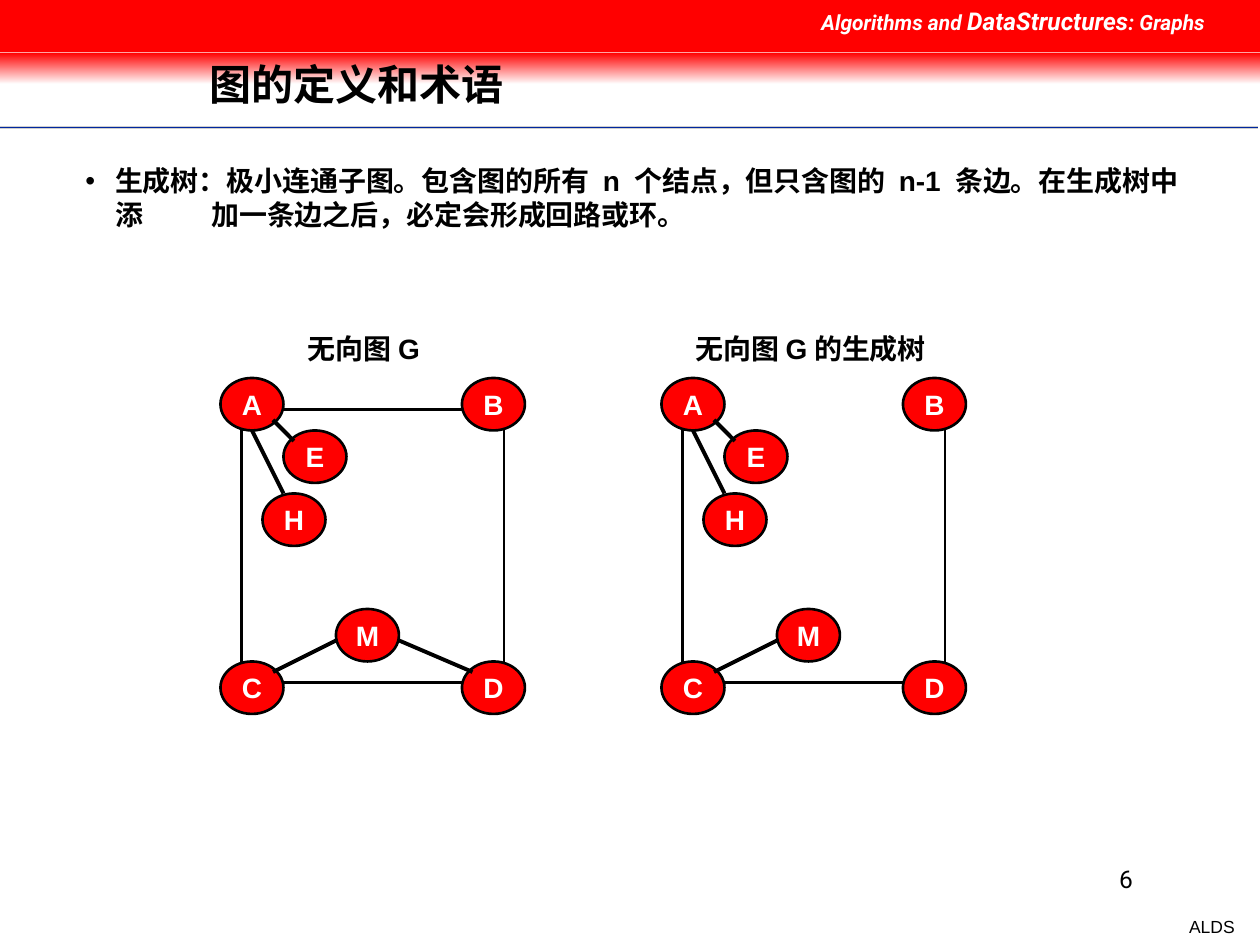
from lxml import etree
from pptx import Presentation
from pptx.dml.color import RGBColor
from pptx.enum.shapes import MSO_CONNECTOR, MSO_SHAPE
from pptx.enum.text import MSO_ANCHOR, PP_ALIGN
from pptx.oxml.ns import qn
from pptx.util import Cm, Pt

LEFT, CENTER, RIGHT = PP_ALIGN.LEFT, PP_ALIGN.CENTER, PP_ALIGN.RIGHT
MIDDLE = MSO_ANCHOR.MIDDLE
STRAIGHT = MSO_CONNECTOR.STRAIGHT
RECTANGLE, OVAL = MSO_SHAPE.RECTANGLE, MSO_SHAPE.OVAL

BLACK = RGBColor(0, 0, 0)
WHITE = RGBColor(255, 255, 255)
RED = RGBColor(255, 0, 0)
BLUE = RGBColor(0x00, 0x27, 0x9F)
GRAY = RGBColor(0xCE, 0xCE, 0xCE)

# Content
TITLE = "图的定义和术语"
BODY = ("生成树：极小连通子图。包含图的所有 n 个结点，但只含图的 n-1 条边。"
        "在生成树中添\t加一条边之后，必定会形成回路或环。")
HEADER_RUNS = [("Algorithms and ", 12), ("DataStructures", 14), (": Graphs", 12)]

# Rules under the title: height in cm, colour, width in points
RULES = [(2.57, GRAY, 2), (2.57, BLUE, 1), (2.62, WHITE, 1)]

# Graphs are laid out on a grid of 12 units to 2.54 cm
NODE_SIZE = (6, 5)
NODES = {"A": (0, 0), "B": (23, 0), "C": (0, 27), "D": (23, 27),
         "E": (6, 5), "H": (4, 11), "M": (11, 22)}
# Edge name: start, end, width in points
EDGES = {
    "AB": ((6, 3), (23, 3), 1.5),
    "AC": ((2, 5), (2, 27), 1.5),
    "BD": ((27, 5), (27, 27), 1.5),
    "CD": ((6, 29), (23, 29), 1.5),
    "MD": ((17, 25), (24, 28), 2.25),
    "CM": ((5, 28), (11, 25), 2.25),
    "AH": ((3, 5), (6, 11), 2.25),
    "AE": ((5, 4), (7, 6), 2.25),
}
TREE_EDGES = ["AC", "BD", "CD", "CM", "AH", "AE"]
# Left and top in units, edges, caption, caption left and width in units
GRAPHS = [
    (21, 36, list(EDGES), "无向图G ", 27, 16),
    (63, 36, TREE_EDGES, "无向图G的生成树 ", 65, 25),
]


def grid(units):
    return Cm(units * 2.54 / 12)


def add_run(paragraph, text, size, color=BLACK, bold=True, font="Arial", italic=False):
    run = paragraph.add_run()
    run.text = text
    run.font.name = font
    run.font.size = Pt(size)
    run.font.bold = bold
    run.font.italic = italic
    run.font.color.rgb = color


def add_text_box(slide, left, top, width, height, alignment=LEFT, wrap=True):
    box = slide.shapes.add_textbox(left, top, width, height)
    box.text_frame.word_wrap = wrap
    paragraph = box.text_frame.paragraphs[0]
    paragraph.alignment = alignment
    return paragraph


def add_line(slide, start, end, color, width):
    line = slide.shapes.add_connector(STRAIGHT, *start, *end)
    line.line.color.rgb = color
    line.line.width = Pt(width)
    etree.SubElement(line._element.spPr, qn("a:effectLst"))


def add_band(slide, top, height):
    band = slide.shapes.add_shape(RECTANGLE, 0, top, Cm(25.4), height)
    band.shadow.inherit = False
    band.line.fill.background()
    return band.fill


def add_node(slide, name, left, top):
    node = slide.shapes.add_shape(OVAL, left, top, *map(grid, NODE_SIZE))
    node.shadow.inherit = False
    node.fill.solid()
    node.fill.fore_color.rgb = RED
    node.line.color.rgb = BLACK
    node.line.width = Pt(1.5)
    frame = node.text_frame
    frame.word_wrap = False
    frame.vertical_anchor = MIDDLE
    frame.paragraphs[0].alignment = CENTER
    add_run(frame.paragraphs[0], name, 16, WHITE)


def add_header(slide):
    for height, color, width in RULES:
        add_line(slide, (0, Cm(height)), (Cm(25.35), Cm(height)), color, width)

    fade = add_band(slide, Cm(1.06), Cm(0.64))
    fade.gradient()
    fade.gradient_angle = 270
    for stop, position, color in zip(fade.gradient_stops, (0, 1), (RED, WHITE)):
        stop.position = position
        stop.color.rgb = color
    solid = add_band(slide, 0, Cm(1.06))
    solid.solid()
    solid.fore_color.rgb = RED

    paragraph = add_text_box(slide, Cm(16.31), 0, Cm(9.09), Cm(0.86))
    for text, size in HEADER_RUNS:
        add_run(paragraph, text, size, WHITE, font="Roboto", italic=True)


def add_footer(slide):
    paragraph = add_text_box(slide, Cm(23.72), Cm(18.34), Cm(1.42), Cm(0.69), RIGHT, False)
    add_run(paragraph, "ALDS", 10, bold=False)
    paragraph = add_text_box(slide, Cm(18.21), Cm(17.3), Cm(4.88), Cm(1.27), RIGHT)
    add_run(paragraph, "6", 14, bold=False, font="Roboto")


def format_title(slide):
    title = slide.shapes.title
    title.left, title.top, title.width, title.height = Cm(3.96), Cm(0.81), Cm(19.18), Cm(1.88)
    title.text_frame.vertical_anchor = MIDDLE
    paragraph = title.text_frame.paragraphs[0]
    paragraph.alignment = LEFT
    paragraph.line_spacing = 0.9
    add_run(paragraph, TITLE, 24)
    # Bring the title in front of the header bands
    slide.shapes._spTree.append(title._element)


def add_body(slide):
    paragraph = add_text_box(slide, Cm(1.47), Cm(3.18), Cm(22.86), Cm(1.63))
    add_run(paragraph, BODY, 16)
    properties = paragraph._p.get_or_add_pPr()
    properties.set("marL", str(Cm(0.6)))
    properties.set("indent", str(-Cm(0.6)))
    etree.SubElement(properties, qn("a:buFont"), typeface="Arial")
    etree.SubElement(properties, qn("a:buChar"), char="•")
    tabs = etree.SubElement(properties, qn("a:tabLst"))
    etree.SubElement(tabs, qn("a:tab"), pos=str(Cm(2.54)), algn="l")


def add_graph(slide, left, top, edges, caption, caption_left, caption_width):
    for name, (x, y) in NODES.items():
        add_node(slide, name, grid(left + x), grid(top + y))
    for edge in edges:
        *ends, width = EDGES[edge]
        start, end = [(grid(left + x), grid(top + y)) for x, y in ends]
        add_line(slide, start, end, BLACK, width)
    paragraph = add_text_box(slide, grid(caption_left), grid(top - 5),
                             grid(caption_width), Cm(0.94), CENTER)
    add_run(paragraph, caption, 16)


def main():
    presentation = Presentation()
    presentation.slide_width, presentation.slide_height = Cm(25.4), Cm(19.05)
    slide = presentation.slides.add_slide(presentation.slide_layouts[5])
    add_header(slide)
    add_footer(slide)
    format_title(slide)
    add_body(slide)
    for graph in GRAPHS:
        add_graph(slide, *graph)
    presentation.save("out.pptx")


if __name__ == "__main__":
    main()
